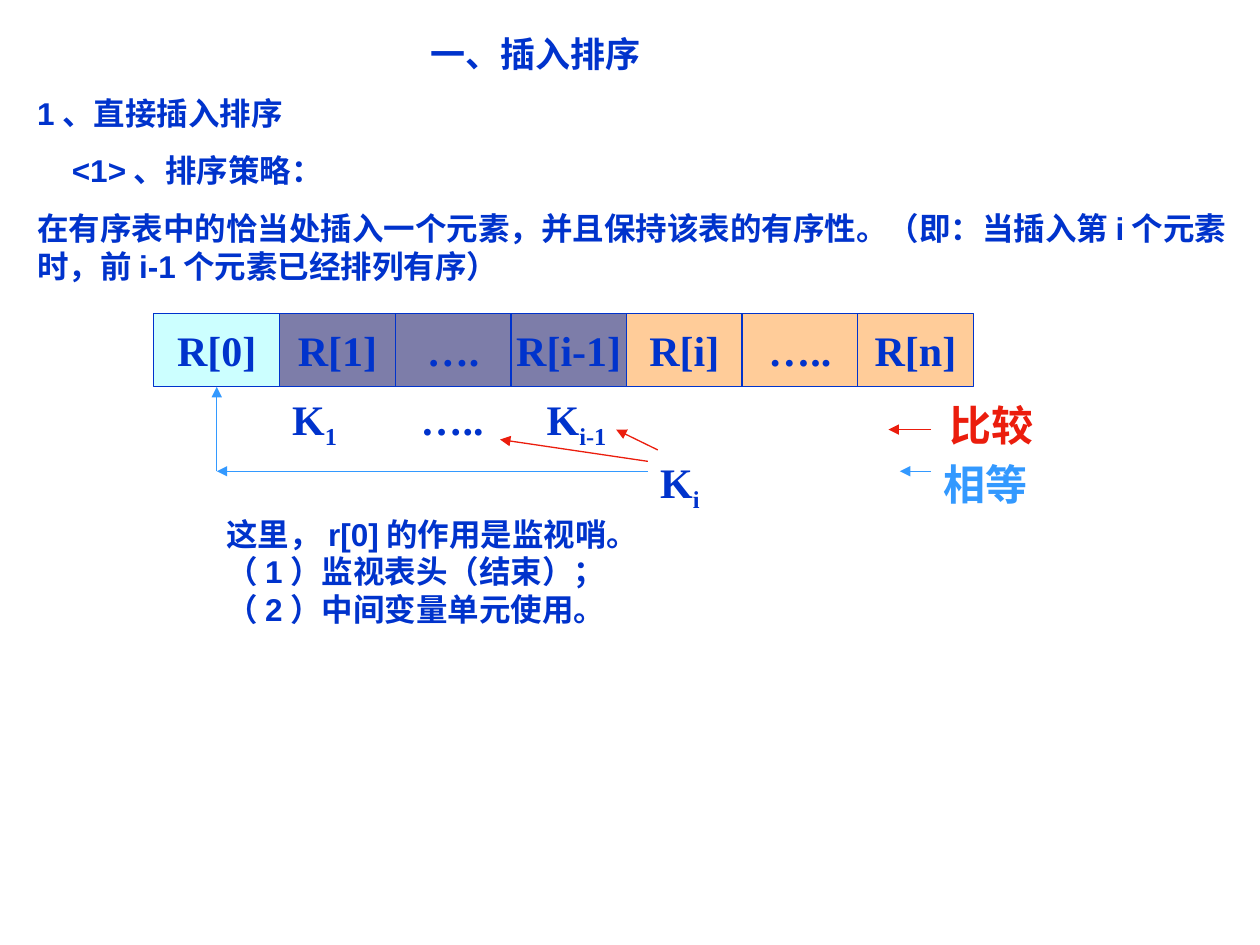
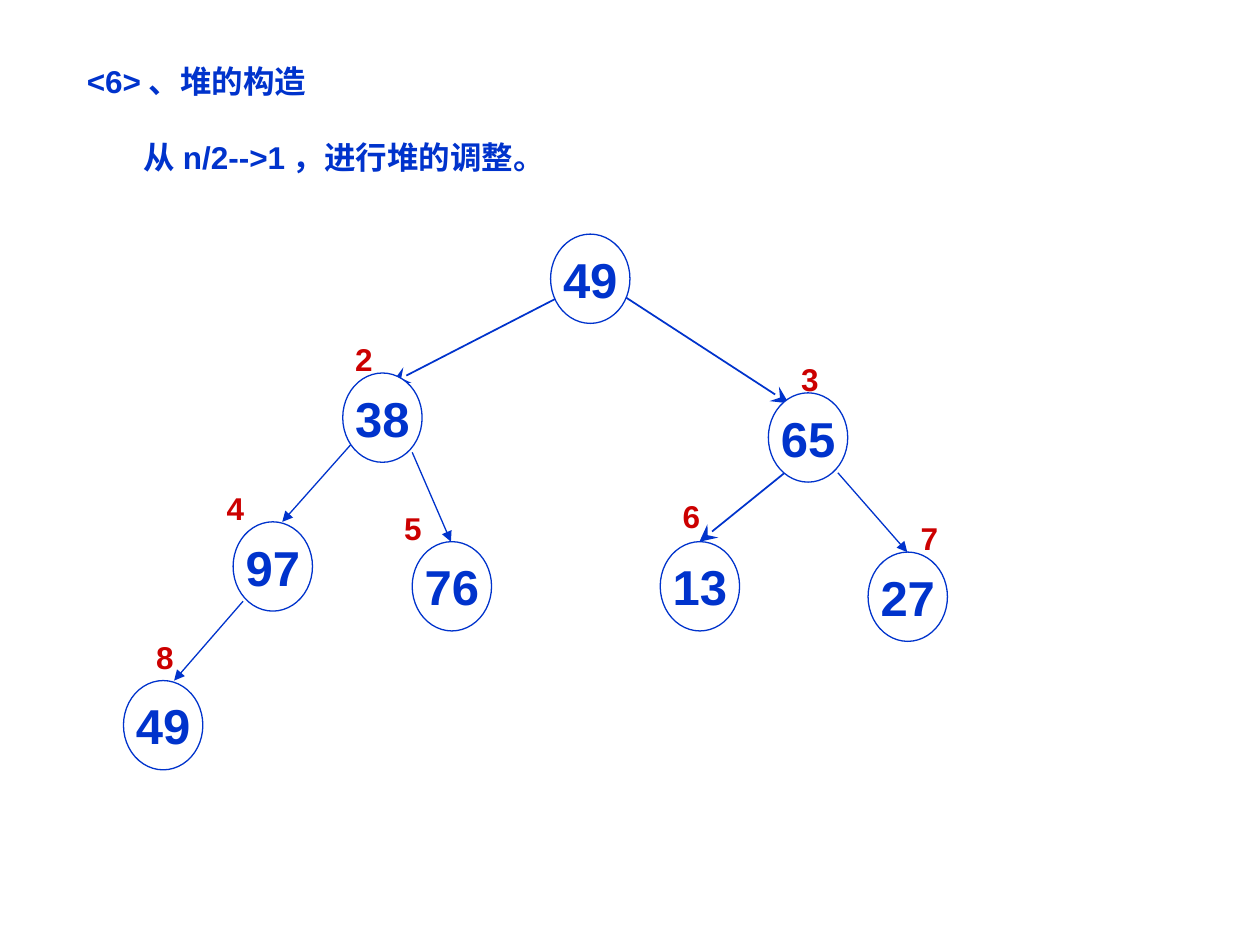
"""Build two slides on sorting: straight insertion and heap construction."""
import pptx
import pptx.dml.color
import pptx.enum.shapes
import pptx.enum.text
import pptx.oxml
import pptx.oxml.ns
import pptx.util

Cm = pptx.util.Cm
Pt = pptx.util.Pt
Rgb = pptx.dml.color.RGBColor.from_string
Kind = pptx.enum.shapes.MSO_SHAPE
Align = pptx.enum.text.PP_ALIGN
Anchor = pptx.enum.text.MSO_ANCHOR
Ns = pptx.oxml.ns.nsdecls("a")


class Theme:
    ink = Rgb("0033CC")
    red = Rgb("EB1D0D")
    sky = Rgb("3399FF")
    mark = Rgb("CC0000")
    white = Rgb("FFFFFF")
    guard = Rgb("CCFFFF")
    done = Rgb("7D7DA9")
    rest = Rgb("FFCC99")
    sans = "Arial"
    serif = "Times New Roman"
    body = 18
    title = 20
    cell = 24
    node = 28
    thin = 0.75
    bold = 1


def write(slide, box, lines, size=Theme.body, tint=Theme.ink, face=Theme.sans, kind=None, fill=None):
    box = [Cm(n) for n in box]
    if kind is None:
        shape = slide.shapes.add_textbox(*box)
    else:
        shape = slide.shapes.add_shape(kind, *box)
        shape.shadow.inherit = False
        shape.fill.solid()
        shape.fill.fore_color.rgb = fill
        shape.line.color.rgb = Theme.ink
        shape.line.width = Pt(Theme.thin)
    frame = shape.text_frame
    frame.word_wrap = kind is None
    frame.vertical_anchor = Anchor.TOP if kind is None else Anchor.MIDDLE
    for i, (text, indent, before, own) in enumerate(lines):
        para = frame.add_paragraph() if i else frame.paragraphs[0]
        para.alignment = Align.LEFT if kind is None else Align.CENTER
        para.space_before = Pt(before)
        props = para._p.get_or_add_pPr()
        props.set("marL", str(Cm(indent)))
        props.set("indent", "0")
        for j, piece in enumerate(text.split("|")):
            run = para.add_run()
            run.text = piece
            run.font.name = face
            run.font.size = Pt(own or size)
            run.font.bold = True
            run.font.color.rgb = tint
            if j % 2:
                run.font._element.set("baseline", "-25000")


def arrow(slide, ends, tint, width=Theme.thin, tip="triangle", span="med"):
    line = slide.shapes.add_connector(
        pptx.enum.shapes.MSO_CONNECTOR.STRAIGHT, *[Cm(n) for n in ends])
    line.line.color.rgb = tint
    line.line.width = Pt(width)
    line.line._get_or_add_ln().append(pptx.oxml.parse_xml(
        f'<a:tailEnd {Ns} type="{tip}" w="{span}" len="{span}"/>'))
    line._element.spPr.append(pptx.oxml.parse_xml(f"<a:effectLst {Ns}/>"))


deck = pptx.Presentation()
deck.slide_width, deck.slide_height = Cm(25.4), Cm(19.05)
blank = deck.slide_layouts[6]

slide = deck.slides.add_slide(blank)
write(slide, (0.5, 0.53, 24.9, 13.44), [
    ("一、插入排序", 7.92, 12.5, Theme.title),
    ("1、直接插入排序", 0, 11.2, None),
    ("<1>、排序策略：", 0.7, 11.2, None),
    ("在有序表中的恰当处插入一个元素，并且保持该表的有序性。"
     "（即：当插入第i个元素时，前i-1个元素已经排列有序）", 0, 11.2, None),
    ("这里，r[0]的作用是监视哨。", 3.81, 131.5, None),
    ("（1）监视表头（结束）；", 3.81, 0, None),
    ("（2）中间变量单元使用。", 3.81, 0, None),
])

left = 3.1
for name, wide, fill in [
    ("R[0]", 2.54, Theme.guard),
    ("R[1]", 2.33, Theme.done),
    ("….", 2.33, Theme.done),
    ("R[i-1]", 2.33, Theme.done),
    ("R[i]", 2.33, Theme.rest),
    ("…..", 2.33, Theme.rest),
    ("R[n]", 2.33, Theme.rest),
]:
    write(slide, (left, 6.32, wide, 1.47), [(name, 0, 0, None)], Theme.cell,
          face=Theme.serif, kind=Kind.RECTANGLE, fill=fill)
    left += wide

for text, box, tint in [
    ("K|1", (5.64, 7.8, 2.3, 1.42), Theme.ink),
    ("…..", (8.23, 7.8, 2.3, 1.42), Theme.ink),
    ("K|i-1", (10.77, 7.8, 2.3, 1.42), Theme.ink),
    ("K|i", (13.06, 9.07, 1.47, 1.42), Theme.ink),
    ("相等", (18.77, 9.12, 2.74, 1.27), Theme.sky),
    ("比较", (18.9, 7.92, 2.79, 1.27), Theme.red),
]:
    write(slide, box, [(text, 0, 0, None)], Theme.cell, tint, Theme.serif)

for ends, tint in [
    ((13.26, 9.07, 12.42, 8.66), Theme.red),
    ((13.06, 9.3, 10.08, 8.86), Theme.red),
    ((13.06, 9.5, 4.37, 9.5), Theme.sky),
    ((4.37, 9.5, 4.37, 7.8), Theme.sky),
    ((18.77, 8.66, 17.91, 8.66), Theme.red),
    ((18.77, 9.5, 18.14, 9.5), Theme.sky),
]:
    arrow(slide, ends, tint)

slide = deck.slides.add_slide(blank)
write(slide, (1.5, 1.12, 12.7, 2.54), [
    ("<6>、堆的构造", 0, 0, None),
    ("从n/2-->1，进行堆的调整。", 1.15, 21.7, None),
])

for ends in [
    (11.4, 5.92, 7.9, 7.72),
    (12.5, 5.92, 15.9, 8.13),
    (15.82, 9.53, 14.1, 10.92),
]:
    arrow(slide, ends, Theme.ink, Theme.bold, "stealth", "lg")
for ends in [
    (8.31, 9.12, 9.09, 10.92),
    (7.11, 8.92, 5.69, 10.52),
    (16.89, 9.53, 18.29, 11.13),
    (4.9, 12.12, 3.51, 13.72),
]:
    arrow(slide, ends, Theme.ink)

tags = [(6.91, 6.73), (15.9, 7.14), (4.32, 9.73), (7.9, 10.13),
        (13.51, 9.89), (18.31, 10.34), (2.9, 12.73)]
for rank, (x, y) in enumerate(tags, 2):
    write(slide, (x, y, 0.9, 1.02), [(str(rank), 0, 0, None)], tint=Theme.mark)

for value, x, y in [
    (49, 11.1, 4.72),
    (38, 6.91, 7.52),
    (65, 15.49, 7.92),
    (97, 4.7, 10.52),
    (76, 8.31, 10.92),
    (13, 13.31, 10.92),
    (27, 17.5, 11.13),
    (49, 2.49, 13.72),
]:
    write(slide, (x, y, 1.6, 1.8), [(str(value), 0, 0, None)], Theme.node,
          kind=Kind.OVAL, fill=Theme.white)

deck.save("out.pptx")
